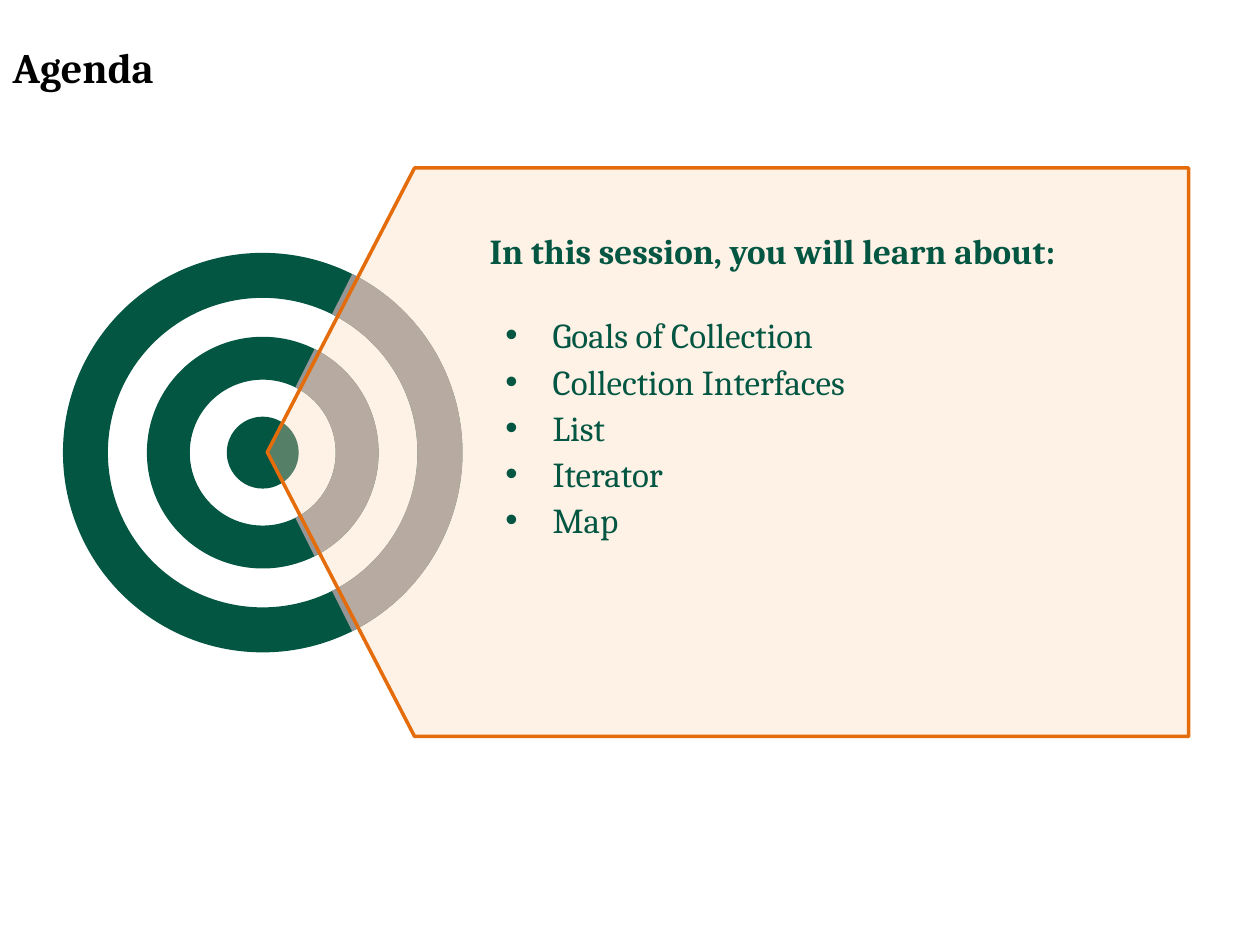
from dataclasses import dataclass

from lxml.etree import SubElement
from pptx import Presentation
from pptx.dml.color import RGBColor
from pptx.enum.shapes import MSO_SHAPE
from pptx.enum.text import MSO_ANCHOR, PP_ALIGN
from pptx.oxml.ns import qn
from pptx.util import Pt


@dataclass(frozen=True)
class Theme:
    font: str = "Cambria"
    black: RGBColor = RGBColor(0x00, 0x00, 0x00)
    green: RGBColor = RGBColor(0x03, 0x56, 0x42)
    gray: RGBColor = RGBColor(0x96, 0x96, 0x96)
    peach: RGBColor = RGBColor(0xFC, 0xD5, 0xB5)
    orange: RGBColor = RGBColor(0xE4, 0x6C, 0x0A)
    title_size: float = 24
    body_size: float = 20


THEME = Theme()
HEADING = "In this session, you will learn about:"
TOPICS = ["Goals of Collection", "Collection Interfaces", "List", "Iterator", "Map"]


def add_run(paragraph, text, size, color, bold=False):
    run = paragraph.add_run()
    run.text = text
    run.font.name = THEME.font
    run.font.size = Pt(size)
    run.font.bold = bold
    run.font.color.rgb = color


def set_margins(text_frame, left, top, right, bottom):
    text_frame.margin_left = Pt(left)
    text_frame.margin_top = Pt(top)
    text_frame.margin_right = Pt(right)
    text_frame.margin_bottom = Pt(bottom)


def place_title(slide, left, top, width, height):
    title = slide.shapes.title
    title.left, title.top = Pt(left), Pt(top)
    title.width, title.height = Pt(width), Pt(height)
    text_frame = title.text_frame
    text_frame.vertical_anchor = MSO_ANCHOR.MIDDLE
    set_margins(text_frame, 7.2, 3.6, 7.2, 3.6)
    paragraph = text_frame.paragraphs[0]
    paragraph.alignment = PP_ALIGN.LEFT
    add_run(paragraph, "Agenda", THEME.title_size, THEME.black, bold=True)


def add_target(slide, left, top, size):
    group = slide.shapes.add_group_shape()

    def add_circle(preset, diameter, color, adjustments=()):
        offset = (size - diameter) / 2
        shape = group.shapes.add_shape(
            preset, Pt(left + offset), Pt(top + offset), Pt(diameter), Pt(diameter)
        )
        for index, value in enumerate(adjustments):
            shape.adjustments[index] = value
        shape.shadow.inherit = False
        shape.fill.solid()
        shape.fill.fore_color.rgb = color
        shape.line.fill.background()

    angle_unit = 0.6
    half_sweep = 63.4
    arc_angles = ((360 - half_sweep) * angle_unit, half_sweep * angle_unit)
    add_circle(MSO_SHAPE.OVAL, size * 0.18, THEME.green)
    for diameter, thickness in ((size * 0.58, 24.5), (size, 25.7)):
        ratio = thickness / diameter
        add_circle(MSO_SHAPE.DONUT, diameter, THEME.green, (ratio,))
        add_circle(MSO_SHAPE.BLOCK_ARC, diameter, THEME.gray, (*arc_angles, ratio))


def set_bullet(paragraph, indent, hanging):
    properties = paragraph._p.get_or_add_pPr()
    properties.set("marL", str(Pt(indent)))
    properties.set("indent", str(-Pt(hanging)))
    SubElement(properties, qn("a:buFont")).set("typeface", "Arial")
    SubElement(properties, qn("a:buChar")).set("char", "•")


def add_topics_panel(slide, left, top, width, height):
    panel = slide.shapes.add_shape(
        MSO_SHAPE.PENTAGON, Pt(left), Pt(top), Pt(width), Pt(height)
    )
    panel.adjustments[0] = 0.259
    panel._element.spPr.xfrm.set("flipH", "1")
    panel.shadow.inherit = False
    panel.fill.solid()
    panel.fill.fore_color.rgb = THEME.peach
    color = panel._element.spPr.find(qn("a:solidFill"))[0]
    SubElement(color, qn("a:alpha")).set("val", "33000")
    panel.line.color.rgb = THEME.orange
    panel.line.width = Pt(2)

    text_frame = panel.text_frame
    text_frame.word_wrap = True
    text_frame.vertical_anchor = MSO_ANCHOR.MIDDLE
    set_margins(text_frame, 85, 0, 6, 74)
    heading = text_frame.paragraphs[0]
    heading.alignment = PP_ALIGN.LEFT
    heading.line_spacing = 0.9
    add_run(heading, HEADING, THEME.body_size, THEME.green, bold=True)
    for index, topic in enumerate(TOPICS):
        paragraph = text_frame.add_paragraph()
        paragraph.alignment = PP_ALIGN.LEFT
        paragraph.line_spacing = 1.1
        paragraph.space_before = Pt(0 if index else 21.6)
        set_bullet(paragraph, 36, 27)
        add_run(paragraph, topic, THEME.body_size, THEME.green)


def main():
    presentation = Presentation()
    presentation.slide_width = Pt(720)
    presentation.slide_height = Pt(540)
    slide = presentation.slides.add_slide(presentation.slide_layouts[5])
    place_title(slide, 0, 16, 546.5, 44.5)
    add_target(slide, 36, 144.5, 228.3)
    add_topics_panel(slide, 152.8, 96, 526.5, 324.8)
    presentation.save("out.pptx")


if __name__ == "__main__":
    main()
